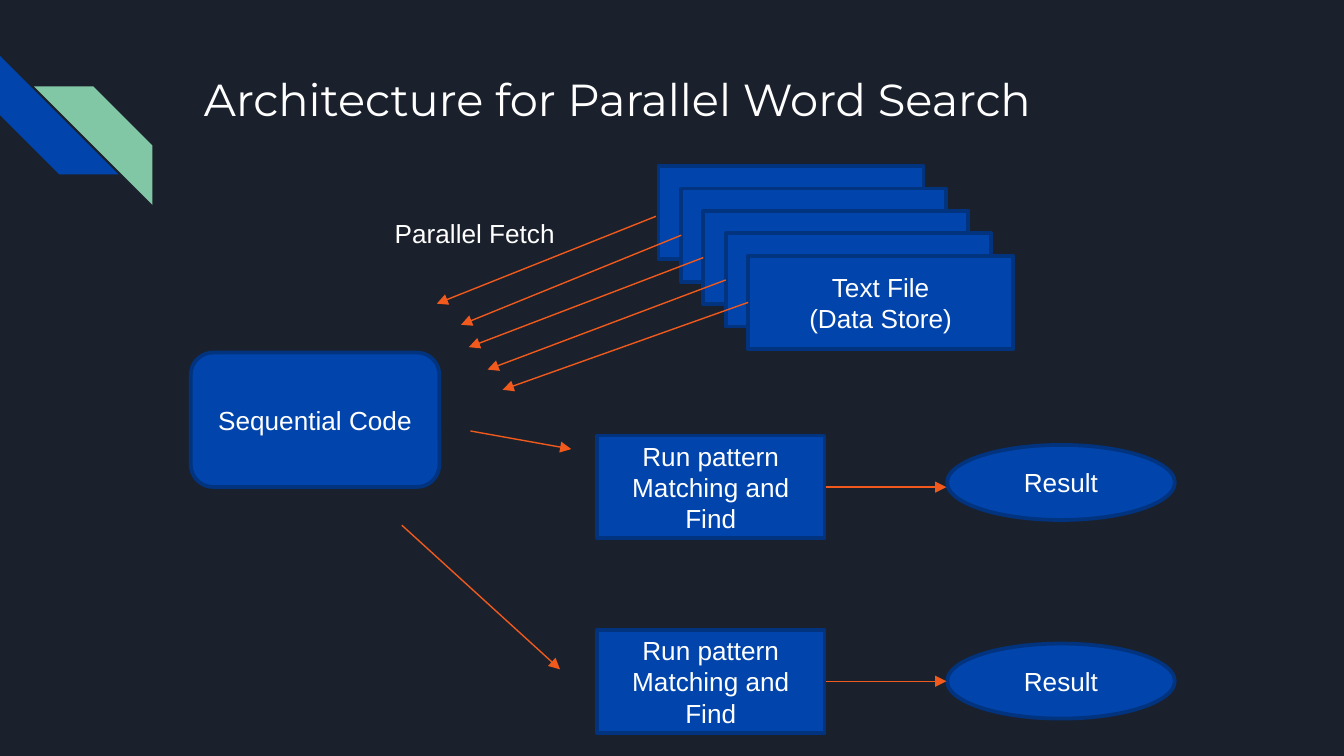
import pptx
import pptx.util
import pptx.dml.color
import pptx.enum.shapes
import pptx.enum.text
import lxml.etree

Pt = pptx.util.Pt
Color = pptx.dml.color.RGBColor.from_string
Kind = pptx.enum.shapes.MSO_SHAPE
Anchor = pptx.enum.text.MSO_ANCHOR
Align = pptx.enum.text.PP_ALIGN

theme = {
    "back": Color("1B212C"),
    "blue": Color("0145AC"),
    "navy": Color("01337F"),
    "green": Color("82C7A5"),
    "orange": Color("F15A1C"),
    "white": Color("FFFFFF"),
    "head": ("Montserrat", Pt(24)),
    "body": ("Arial", Pt(14)),
}

deck = pptx.Presentation()
deck.slide_width, deck.slide_height = Pt(720), Pt(405)
slide = deck.slides.add_slide(deck.slide_layouts[6])
slide.background.fill.solid()
slide.background.fill.fore_color.rgb = theme["back"]
shapes = slide.shapes


def write(shape, text, style, align):
    frame = shape.text_frame
    frame.word_wrap = True
    frame.text = text
    for para in frame.paragraphs:
        para.alignment = align
        para.font.name, para.font.size = theme[style]
        para.font.color.rgb = theme["white"]
    return frame


def draw(kind, box, fill, line=None, text=""):
    shape = shapes.add_shape(kind, *map(Pt, box))
    shape.shadow.inherit = False
    shape.fill.solid()
    shape.fill.fore_color.rgb = theme[fill]
    if line:
        shape.line.color.rgb = theme[line]
        shape.line.width = Pt(2)
    else:
        shape.line.fill.background()
    if text:
        frame = write(shape, text, "body", Align.CENTER)
        frame.vertical_anchor = Anchor.MIDDLE
    return shape


for left, top, turn, fill in [(0, 30, 270, "blue"), (18.3, 46.3, 90, "green")]:
    stripe = draw(Kind.DIAGONAL_STRIPE, (left, top, 63.4, 63.4), fill)
    stripe.adjustments[0] = 0.5
    stripe.rotation = turn

title = shapes.add_textbox(Pt(102.2), Pt(31), Pt(554.4), Pt(72))
frame = write(title, "Architecture for Parallel Word Search", "head", Align.LEFT)
frame.margin_left = frame.margin_right = Pt(7.2)
frame.margin_top = frame.margin_bottom = Pt(7.2)

files = 5
for i in range(files):
    text = "Text File\n(Data Store)" if i == files - 1 else ""
    box = (352.8 + 12 * i, 89 + 12 * i, 142, 50)
    draw(Kind.RECTANGLE, box, "blue", "navy", text)

box = (102.2, 188.9, 133.2, 72)
draw(Kind.ROUNDED_RECTANGLE, box, "blue", "navy", "Sequential Code")

for top, oval in [(233.4, 238.4), (337.6, 344.8)]:
    box = (319.8, top, 122, 55)
    draw(Kind.RECTANGLE, box, "blue", "navy", "Run pattern Matching and Find")
    draw(Kind.OVAL, (507.4, oval, 122, 40.2), "blue", "navy", "Result")

label = shapes.add_textbox(Pt(204.4), Pt(113.2), Pt(103.7), Pt(24.2))
write(label, "Parallel Fetch", "body", Align.LEFT)

arrows = [
    (351.4, 115.9, 234, 162.7),
    (365, 126, 247, 174),
    (376.8, 138, 251.2, 186),
    (388.8, 150, 261.2, 198),
    (400.8, 162, 269.3, 208.8),
    (252, 230.9, 306, 240.6),
    (215.3, 281.4, 300, 358.6),
    (442.5, 261, 507, 261),
    (442.5, 365, 507, 365),
]
for ends in arrows:
    arrow = shapes.add_connector(
        pptx.enum.shapes.MSO_CONNECTOR.STRAIGHT, *map(Pt, ends))
    arrow.line.color.rgb = theme["orange"]
    arrow.line.width = Pt(0.75)
    line = arrow.line._get_or_add_ln()
    space = "{" + line.nsmap["a"] + "}"
    lxml.etree.SubElement(line, space + "tailEnd", type="triangle")
    lxml.etree.SubElement(line.getparent(), space + "effectLst")

deck.save("out.pptx")
